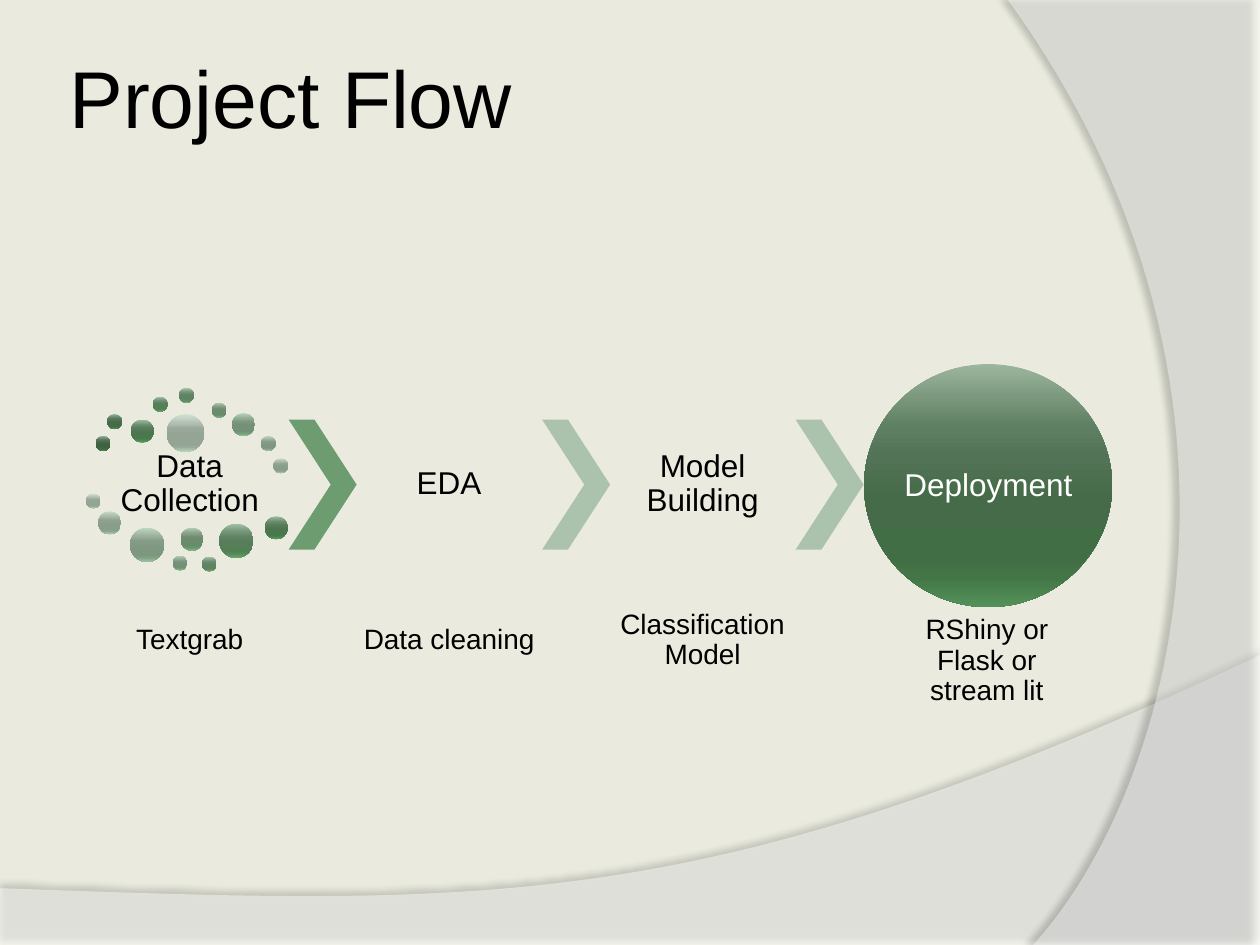
import pptx
import pptx.util
import pptx.dml.color
import pptx.enum.shapes
import pptx.enum.text
import pptx.oxml
import pptx.oxml.ns

Cm, Pt = pptx.util.Cm, pptx.util.Pt
RGB = pptx.dml.color.RGBColor
KIND = pptx.enum.shapes.MSO_SHAPE
ALIGN = pptx.enum.text.PP_ALIGN
BLACK, WHITE = RGB(0, 0, 0), RGB(255, 255, 255)
CREAM = RGB(0xEA, 0xEB, 0xDE)
GREEN, PALE = RGB(0x6D, 0x9C, 0x71), RGB(0xAB, 0xC3, 0xAD)
NS = pptx.oxml.ns.nsdecls("a")

STOPS = (0, 25, 38, 55, 80, 88, 100)
TONES = [[RGB.from_string(c) for c in row.split()] for row in (
    "99AF9B 5A765C 4D6A4F 3F6142 3B643F 3C6C40 4C8351",
    "9CB69E 608063 527355 466B49 426E45 437647 549159",
    "9FBDA1 678B6A 587C5B 4D7550 48784C 4A814E 5D9E62",
    "A3C2A6 709373 608363 577D59 528055 548958 69A76D",
    "AAC7AC 7A9A7D 69896C 618364 5D8660 5F8F63 77AE7B",
    "B0CCB2 85A187 738F75 6B8A6E 678C6A 6B956E 84B688",
    "B8D1B9 90A991 7C957E 769078 729274 769B79 92BD95",
    "BFD6C1 9AB09C 869C87 809782 7D987F 82A284 A0C5A2",
    "C8DBC9 A5B8A6 8FA291 8A9E8C 879E89 8DA88F ADCDB0",
    "D0E1D1 B0BFB1 99A89A 94A495 92A593 98AE9A BBD5BD",
)]
TINY, SMALL, MID, BIG = 0.3, 0.46, 0.69, 0.76
DOTS = [
    (0.2, 0.97, TINY), (0.43, 0.53, TINY), (0.91, 0.64, SMALL),
    (1.35, 0.18, TINY), (1.88, 0, TINY), (2.54, 0.3, TINY),
    (2.95, 0.51, SMALL), (3.53, 0.97, TINY), (3.78, 1.42, TINY),
    (1.63, 0.53, BIG), (0, 2.13, TINY), (0.25, 2.49, SMALL),
    (0.89, 2.82, MID), (1.75, 3.38, TINY), (1.91, 2.82, SMALL),
    (2.34, 3.4, TINY), (2.69, 2.74, MID), (3.61, 2.59, SMALL),
]


def write(slide, text, box, size=18, color=BLACK, align=ALIGN.CENTER, inset=0.08, lead=0.9):
    """Place wrapped, vertically centred text in a box."""
    frame = slide.shapes.add_textbox(*map(Cm, box)).text_frame
    frame.word_wrap = True
    frame.vertical_anchor = pptx.enum.text.MSO_ANCHOR.MIDDLE
    frame.margin_left = frame.margin_right = Cm(inset)
    frame.margin_top = frame.margin_bottom = Cm(inset)
    para = frame.paragraphs[0]
    para.alignment, para.line_spacing = align, lead
    run = para.add_run()
    run.text = text
    run.font.name, run.font.size = "Arial", Pt(size)
    run.font.color.rgb = color


def plain(shape, color):
    """Give a shape a flat fill with no line or shadow."""
    shape.shadow.inherit = False
    shape.fill.solid()
    shape.fill.fore_color.rgb = color
    shape.line.fill.background()
    return shape


def ball(slide, box, tone):
    """Draw a circle shaded from top to bottom."""
    shape = plain(slide.shapes.add_shape(KIND.OVAL, *map(Cm, box)), tone[0])
    stops = "".join(f'<a:gs pos="{at * 1000}"><a:srgbClr val="{color}"/></a:gs>'
                    for at, color in zip(STOPS, tone))
    grad = pptx.oxml.parse_xml(f'<a:gradFill {NS} rotWithShape="1"><a:gsLst>{stops}</a:gsLst>'
                               '<a:lin ang="5400000" scaled="0"/></a:gradFill>')
    props = shape.element.spPr
    props.replace(props.find(pptx.oxml.ns.qn("a:solidFill")), grad)


def curve(ends, count=60):
    """Return points along a cubic curve."""
    def mix(t, axis):
        a, b, c, d = (p[axis] for p in ends)
        return a * (1 - t)**3 + 3 * b * t * (1 - t)**2 + 3 * c * t**2 * (1 - t) + d * t**3
    return [(mix(i / count, 0), mix(i / count, 1)) for i in range(count + 1)]


def sweep(slide, box, ends, rest, alpha, shade, dist, angle):
    """Draw a translucent curved panel inside a box."""
    left, top, wide, high = box
    pts = [(Cm(left + x * wide), Cm(top + y * high)) for x, y in curve(ends) + rest]
    form = slide.shapes.build_freeform(*pts[0], scale=1.0)
    form.add_line_segments(pts[1:], close=True)
    props = plain(form.convert_to_shape(), WHITE).element.spPr
    tint = props.find(pptx.oxml.ns.qn("a:solidFill"))[0]
    tint.append(pptx.oxml.parse_xml(f'<a:alpha {NS} val="{alpha * 1000}"/>'))
    props.find(pptx.oxml.ns.qn("a:effectLst")).append(pptx.oxml.parse_xml(
        f'<a:outerShdw {NS} blurRad="{Pt(4)}" dist="{Pt(dist)}" dir="{angle * 60000}" '
        f'algn="ctr" rotWithShape="0"><a:srgbClr val="{BLACK}"><a:alpha val="{shade * 1000}"/>'
        '</a:srgbClr></a:outerShdw>'))


def back(slide, wide, high):
    """Draw the background and its two panels."""
    slide.background.fill.solid()
    slide.background.fill.fore_color.rgb = CREAM
    sweep(slide, (0, 13.21, wide, 5.87),
          [(1, 0), (0.56, 0.9), (0.39, 0.86), (0, 0.8)], [(0, 1), (1, 1)], 45, 35, 3.5, 270)
    sweep(slide, (wide - 5.08, 0, 5.08, high),
          [(0.1, 1), (0.68, 0.83), (1.09, 0.4), (0, 0)], [(1, 0), (1, 1)], 40, 45, 4, 180)


def cloud(slide, left, top):
    """Draw the ring of dots, its tones rising and then falling."""
    tones = TONES + TONES[:1:-1]
    for (x, y, size), tone in zip(DOTS, tones):
        ball(slide, (left + x, top + y, size, size), tone)


def flow(slide, left, top, wide=3.73, pitch=5.11):
    """Draw the four steps, their notes and the arrows between them."""
    lefts = [left + x for x in (0.23, 5.46, 10.57, 16.3)]
    heads = ["Data Collection", "EDA", "Model Building"]
    notes = ["Textgrab", "Data cleaning", "Classification Model", "RShiny or Flask or stream lit"]
    cloud(slide, left, top + 0.48)
    for i, color in enumerate((GREEN, PALE, PALE)):
        box = (left + 4.09 + i * pitch, top + 1.12, 1.37, 2.62)
        arrow = plain(slide.shapes.add_shape(KIND.CHEVRON, *map(Cm, box)), color)
        arrow.adjustments[0] = 0.62
    for x, head in zip(lefts, heads):
        write(slide, head, (x, top + 1.12, wide, 2.62))
    ball(slide, (left + 15.69, top, 5, 4.9), TONES[1])
    write(slide, "Deployment", (left + 16.43, top + 0.74, 3.53, 3.45), color=WHITE, inset=0)
    for x, y, note in zip(lefts, (4.42, 4.42, 4.42, 4.83), notes):
        write(slide, note, (x, top + y, wide, 2.31), size=16, inset=0.05)


def main():
    """Build the slide and save it."""
    deck = pptx.Presentation()
    deck.slide_width, deck.slide_height = Cm(25.4), Cm(19.05)
    slide = deck.slides.add_slide(deck.slide_layouts[6])
    back(slide, 25.4, 19.05)
    write(slide, "Project Flow", (1.27, 0.76, 20.75, 2.36), size=46,
          align=ALIGN.LEFT, inset=0.13, lead=1.0)
    flow(slide, 1.73, 7.34)
    deck.save("out.pptx")


main()
